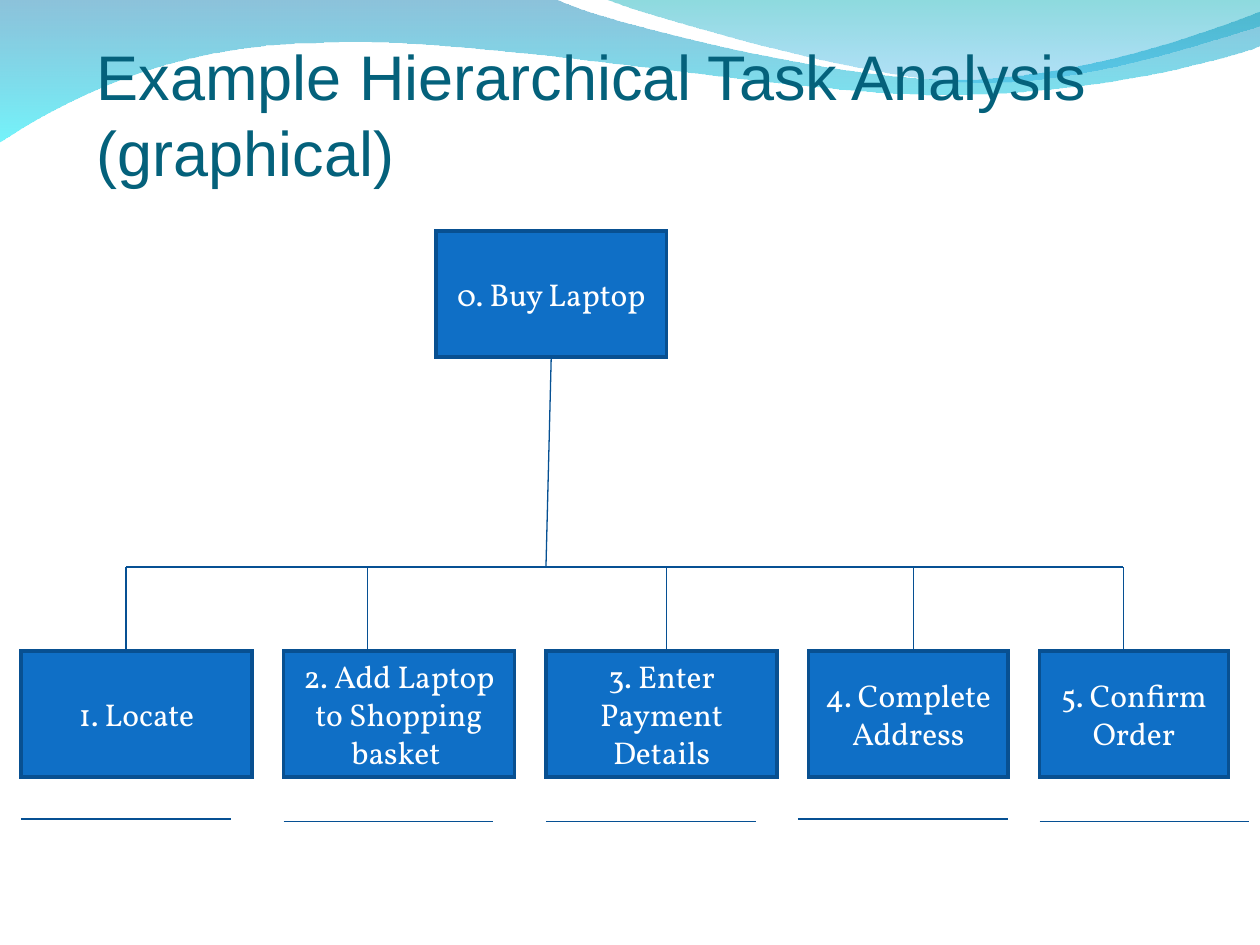
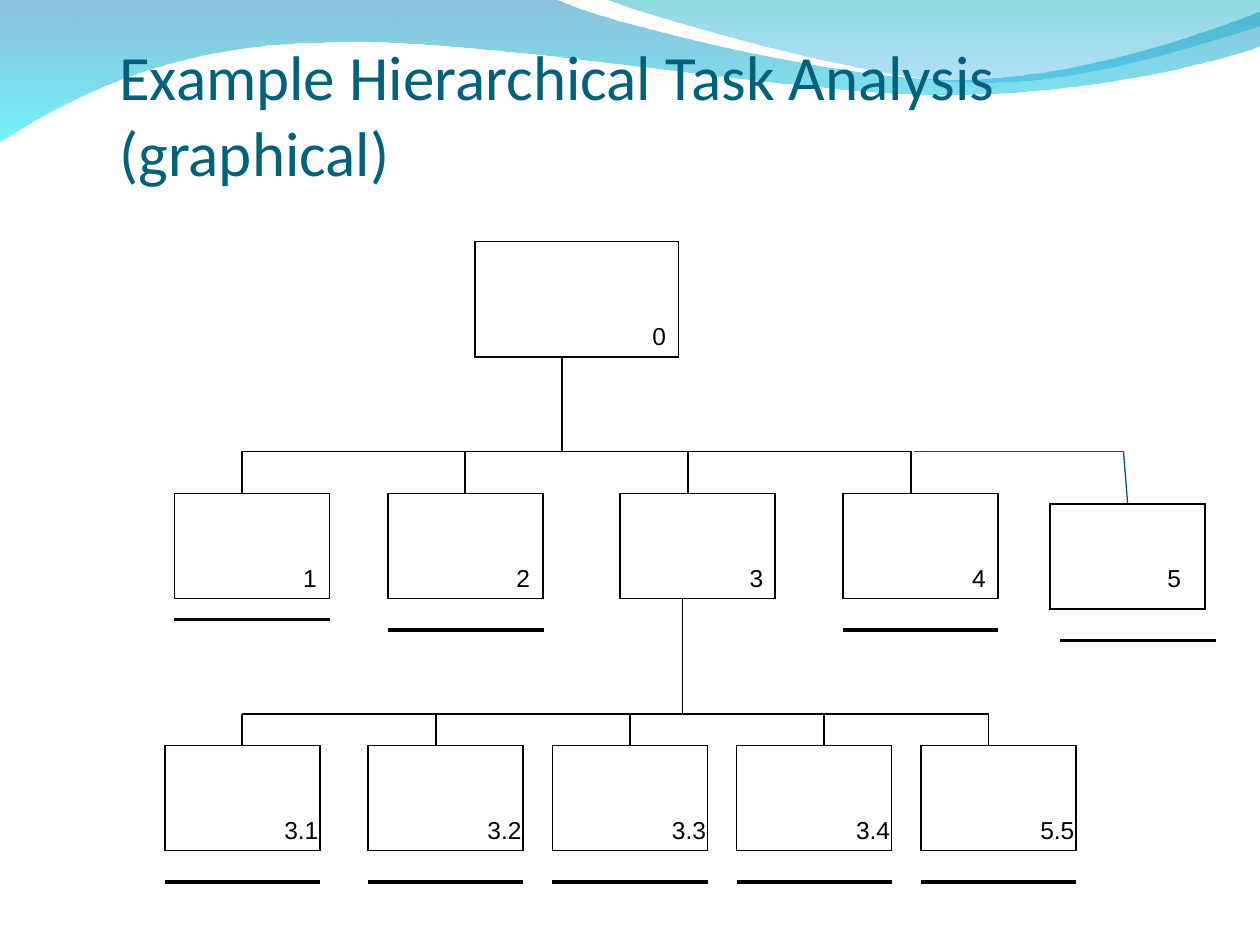
from lxml.etree import SubElement
from pptx import Presentation
from pptx.dml.color import RGBColor
from pptx.enum.shapes import MSO_CONNECTOR, MSO_SHAPE
from pptx.enum.text import MSO_ANCHOR, MSO_AUTO_SIZE, PP_ALIGN
from pptx.oxml.ns import qn
from pptx.util import Inches, Pt

WIDTH, HEIGHT = Inches(10), Inches(7.5)
COLUMNS, ROWS = 120, 90

TITLE_COLOR = RGBColor(0x04, 0x61, 0x7B)
BOX_BLUE = RGBColor(0x0F, 0x6F, 0xC6)
BOX_BORDER = RGBColor(0x08, 0x50, 0x91)
LINK_BLUE = RGBColor(0x06, 0x50, 0x93)
BLACK = RGBColor(0x00, 0x00, 0x00)
WHITE = RGBColor(0xFF, 0xFF, 0xFF)

TITLE = "Example Hierarchical Task Analysis (graphical)"

LOWER_WAVE = [
    [(0, -0.01)], [(4.4, -0.01)],
    [(4.76, 0.17), (6.64, 0.63), (7.58, 0.63)],
    [(8.53, 0.63), (9.58, 0.26), (10, 0.09)],
    [(10.01, 0.36)],
    [(9.83, 0.44), (8.7, 0.76), (7.46, 0.75)],
    [(6.22, 0.75), (3.82, 0.28), (2.57, 0.34)],
    [(1.29, 0.35), (0.46, 0.83), (-0.01, 1.13)],
]
UPPER_WAVE = [
    [(4.79, -0.01)],
    [(5.09, 0.11), (6.82, 0.62), (7.69, 0.65)],
    [(8.56, 0.69), (9.61, 0.32), (10, 0.21)],
    [(10, 0)],
]
LOWER_STOPS = [(RGBColor(0x00, 0x79, 0xAF), 45), (RGBColor(0x00, 0xEB, 0xF8), 55)]
UPPER_STOPS = [(RGBColor(0x00, 0xAD, 0xB6), 45), (RGBColor(0x00, 0x9B, 0xE5), 30)]


def column(number):
    """Return the horizontal position of a grid column."""
    return round(WIDTH * number / COLUMNS)


def row(number):
    """Return the vertical position of a grid row."""
    return round(HEIGHT * number / ROWS)


def grid_area(left, top, width, height):
    """Return a rectangle of grid cells as slide lengths."""
    return column(left), row(top), column(width), row(height)


def bend_segments(outline, segments):
    """Merge the three lines of each cubic segment into one curve."""
    lines = iter(outline.findall(qn("a:lnTo")))
    for segment in segments[1:]:
        curve = next(lines)
        if len(segment) == 3:
            curve.tag = qn("a:cubicBezTo")
            for _ in range(2):
                line = next(lines)
                curve.append(line[0])
                outline.remove(line)


def add_wave(slide, segments, stops):
    """Draw one wave with a transparent vertical gradient."""
    points = [(Inches(x), Inches(y)) for segment in segments for x, y in segment]
    builder = slide.shapes.build_freeform(*points[0])
    builder.add_line_segments(points[1:], close=True)
    shape = builder.convert_to_shape()
    bend_segments(next(shape.element.iter(qn("a:path"))), segments)
    shape.shadow.inherit = False
    shape.line.fill.background()
    shape.fill.gradient()
    shape.fill.gradient_angle = 270
    for gradient_stop, (color, _) in zip(shape.fill.gradient_stops, stops):
        gradient_stop.color.rgb = color
    for color_element, (_, opacity) in zip(shape.element.iter(qn("a:srgbClr")), stops):
        SubElement(color_element, qn("a:alpha")).set("val", str(opacity * 1000))
    return shape


def share_waves(slide):
    """Draw the waves and move them behind everything on the slide's layout."""
    waves = [(LOWER_WAVE, LOWER_STOPS), (UPPER_WAVE, UPPER_STOPS)]
    for index, (segments, stops) in enumerate(waves):
        element = add_wave(slide, segments, stops).element
        element.xpath("./p:nvSpPr/p:cNvPr")[0].set("id", str(100 + index))
        slide.slide_layout.shapes.element.insert(2 + index, element)


def format_text(text_frame, font_name, size, color, alignment=PP_ALIGN.LEFT):
    """Apply one font and alignment to a whole text frame."""
    for paragraph in text_frame.paragraphs:
        paragraph.alignment = alignment
        for run in paragraph.runs:
            run.font.name = font_name
            run.font.size = Pt(size)
            run.font.color.rgb = color


def set_title(slide, left, width, font_name):
    """Place and format the title placeholder."""
    title = slide.shapes.title
    title.left, title.top, title.width, title.height = grid_area(left, 3, width, 15.6)
    text_frame = title.text_frame
    text_frame.text = TITLE
    text_frame.word_wrap = True
    text_frame.auto_size = MSO_AUTO_SIZE.NONE
    text_frame.vertical_anchor = MSO_ANCHOR.BOTTOM
    format_text(text_frame, font_name, 36, TITLE_COLOR)


def add_box(slide, area, border, border_width):
    """Add a sharp-cornered rectangle without fill."""
    shape = slide.shapes.add_shape(MSO_SHAPE.RECTANGLE, *grid_area(*area))
    shape.shadow.inherit = False
    shape.fill.background()
    shape.line.color.rgb = border
    shape.line.width = Pt(border_width)
    outline = next(shape.element.iter(qn("a:ln")))
    SubElement(outline, qn("a:miter")).set("lim", "800000")
    return shape


def add_task(slide, text, area):
    """Add a blue box that names a task."""
    shape = add_box(slide, area, BOX_BORDER, 2)
    shape.fill.solid()
    shape.fill.fore_color.rgb = BOX_BLUE
    text_frame = shape.text_frame
    text_frame.text = text
    text_frame.word_wrap = True
    text_frame.vertical_anchor = MSO_ANCHOR.MIDDLE
    format_text(text_frame, "Vollkorn", 18, WHITE, PP_ALIGN.CENTER)


def add_number(slide, text, left, top, width):
    """Add a task number beside the lower right corner of its box."""
    text_box = slide.shapes.add_textbox(*grid_area(left, top, width, 4))
    text_frame = text_box.text_frame
    text_frame.text = text
    text_frame.word_wrap = False
    text_frame.auto_size = MSO_AUTO_SIZE.SHAPE_TO_FIT_TEXT
    format_text(text_frame, "Arial", 14, BLACK)


def add_line(slide, start, end, color=BLACK, width=1):
    """Connect two grid points with a straight line."""
    connector = slide.shapes.add_connector(
        MSO_CONNECTOR.STRAIGHT, column(start[0]), row(start[1]), column(end[0]), row(end[1]))
    connector.line.color.rgb = color
    connector.line.width = Pt(width)
    SubElement(connector.element.spPr, qn("a:effectLst"))


def add_branches(slide, drops, top, bottom, color=BLACK, width=1):
    """Add a horizontal bar with a drop to each child."""
    add_line(slide, (drops[0], top), (drops[-1], top), color, width)
    for drop in drops:
        add_line(slide, (drop, top), (drop, bottom), color, width)


def build_named_tasks(slide):
    """Build the tree of named tasks."""
    set_title(slide, 8, 107, "Arial")
    add_task(slide, "0. Buy Laptop", (41.5, 22, 22, 12))
    tasks = [
        ("1. Locate", 2, 22, 2, 78),
        ("2. Add Laptop to Shopping basket ", 27, 22, 27, 78.25),
        ("3. Enter Payment Details", 52, 22, 52, 78.25),
        ("4. Complete Address", 77, 19, 76, 78),
        ("5. Confirm Order", 99, 18, 99, 78.25),
    ]
    for text, left, width, rule_left, rule_top in tasks:
        add_task(slide, text, (left, 62, width, 12))
        add_line(slide, (rule_left, rule_top), (rule_left + 20, rule_top), LINK_BLUE, 0.75)
    add_line(slide, (52.5, 34), (52, 54), LINK_BLUE, 0.75)
    add_branches(slide, (12, 35, 63.5, 87, 107), 54, 62, LINK_BLUE, 0.75)


def build_numbered_tasks(slide):
    """Build the tree of numbered tasks with one expanded branch."""
    set_title(slide, 10.15, 100, "Calibri")
    box_width, box_height = 14.77, 10

    add_box(slide, (45.23, 23, 19.4, 11), BLACK, 1)
    add_number(slide, "0", 60.95, 30, 3.7)
    add_line(slide, (53.54, 34), (53.54, 43))
    add_branches(slide, [23.08 + 21.23 * index for index in range(4)], 43, 47)
    add_line(slide, (87, 43), (107, 43), LINK_BLUE, 0.75)
    add_line(slide, (107, 43), (107.4, 48), LINK_BLUE, 0.75)

    tasks = [
        ("1", 16.62, 47, 27.7, (16.62, 59)),
        ("2", 36.95, 47, 48, (37, 60)),
        ("3", 59.05, 47, 70.2, None),
        ("4", 80.3, 47, 91.4, (80.3, 60)),
        ("5", 100, 48, 110, (101, 61)),
    ]
    for text, left, top, number_left, rule in tasks:
        add_box(slide, (left, top, box_width, box_height), BLACK, 1)
        add_number(slide, text, number_left, 53, 3.7)
        if rule:
            add_line(slide, rule, (rule[0] + box_width, rule[1]), width=2.25)

    add_line(slide, (65, 57), (65, 68))
    add_branches(slide, (23.08, 41.54, 60, 78.46, 94.15), 68, 71)
    subtasks = {"3.1": 15.7, "3.2": 35.05, "3.3": 52.62, "3.4": 70.15, "5.5": 87.7}
    for text, left in subtasks.items():
        add_box(slide, (left, 71, box_width, box_height), BLACK, 1)
        add_number(slide, text, left + 10.2, 77, 5.64)
        add_line(slide, (left, 84), (left + box_width, 84), width=2.25)


def main():
    """Build the presentation and save it."""
    presentation = Presentation()
    presentation.slide_width, presentation.slide_height = WIDTH, HEIGHT
    layout = presentation.slide_layouts.get_by_name("Title Only")
    named_slide, numbered_slide = (presentation.slides.add_slide(layout) for _ in range(2))
    share_waves(named_slide)
    build_named_tasks(named_slide)
    build_numbered_tasks(numbered_slide)
    presentation.save("out.pptx")


if __name__ == "__main__":
    main()
